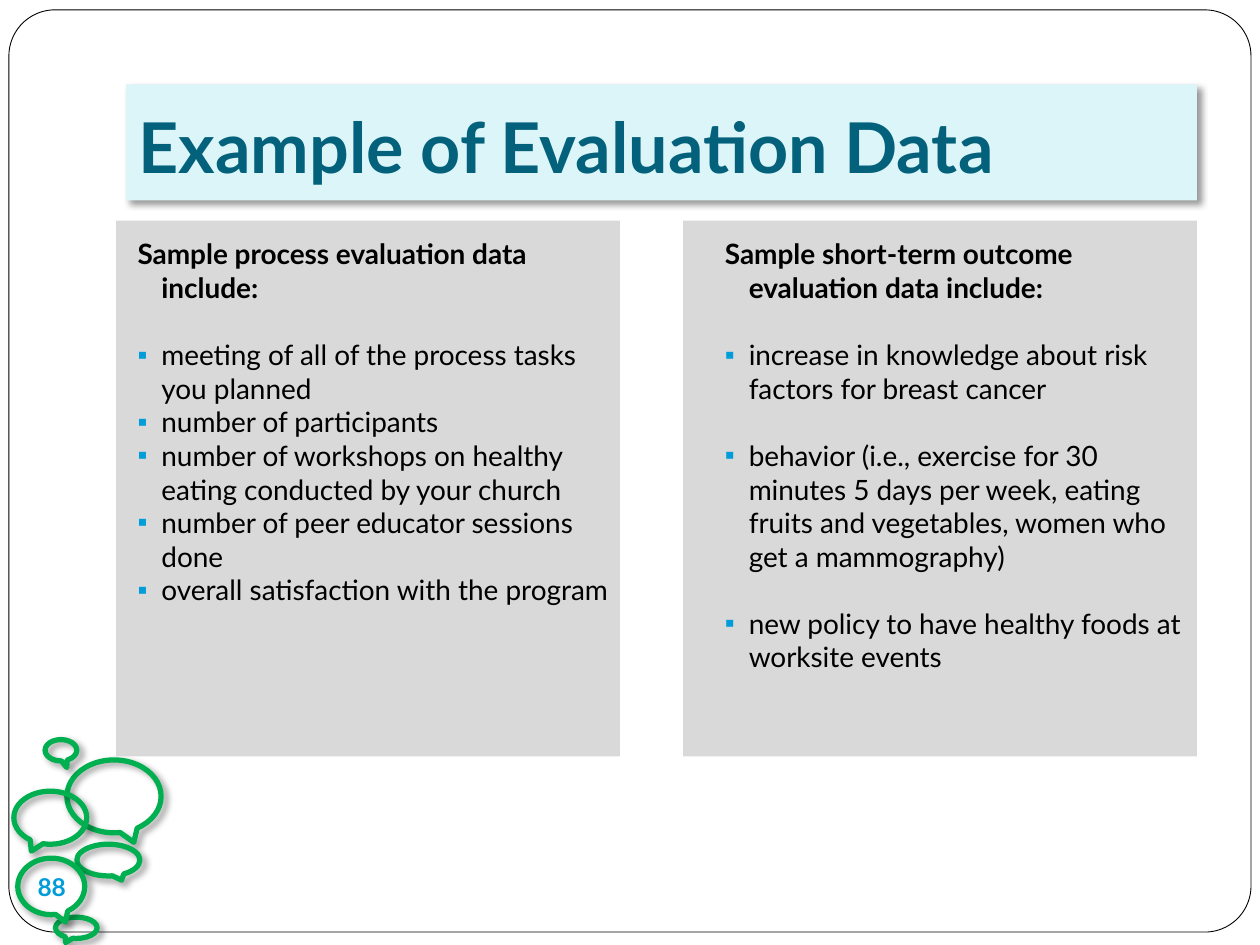
import dataclasses

import lxml.etree
import pptx
import pptx.dml.color
import pptx.enum.shapes
import pptx.enum.text
import pptx.oxml.ns
import pptx.util

Cm = pptx.util.Cm
Pt = pptx.util.Pt
qn = pptx.oxml.ns.qn
SHAPES = pptx.enum.shapes.MSO_SHAPE
ALIGN = pptx.enum.text.PP_ALIGN
ANCHOR = pptx.enum.text.MSO_ANCHOR


@dataclasses.dataclass(frozen=True)
class Theme:
    font: str = "Lato"
    black: str = "000000"
    white: str = "FFFFFF"
    title_fill: str = "DBF5F9"
    title_text: str = "04617B"
    panel: str = "D9D9D9"
    accent: str = "009DD9"
    bubble: str = "00B050"
    title_size: float = 40
    body_size: float = 16
    number_size: float = 14
    body_line: float = 19.2


@dataclasses.dataclass(frozen=True)
class Box:
    """A region in centimetres."""
    left: float
    top: float
    width: float
    height: float

    def inner(self, left, top, width, height):
        return Box(self.left + left, self.top + top, width, height)

    def lengths(self):
        return [Cm(v) for v in (self.left, self.top, self.width, self.height)]


THEME = Theme()


def rgb(value):
    return pptx.dml.color.RGBColor.from_string(value)


def add_shape(page, kind, box, fill=None, line=None, weight=1.0):
    shape = page.shapes.add_shape(kind, *box.lengths())
    shape.shadow.inherit = False
    if fill:
        shape.fill.solid()
        shape.fill.fore_color.rgb = rgb(fill)
    else:
        shape.fill.background()
    if line:
        shape.line.color.rgb = rgb(line)
        shape.line.width = Pt(weight)
    else:
        shape.line.fill.background()
    return shape


def place(holder, box):
    """Move a placeholder into the box and in front of the other shapes."""
    holder.left, holder.top, holder.width, holder.height = box.lengths()
    holder.text_frame.auto_size = pptx.enum.text.MSO_AUTO_SIZE.NONE
    holder.text_frame.word_wrap = True
    holder.element.getparent().append(holder.element)


def add_shadow(shape):
    shape.shadow.inherit = False
    effects = shape.element.spPr.find(qn("a:effectLst"))
    outer = lxml.etree.SubElement(
        effects, qn("a:outerShdw"), blurRad=str(Pt(4)), dist=str(Pt(3)),
        dir="2700000", algn="tl", rotWithShape="0")
    colour = lxml.etree.SubElement(outer, qn("a:srgbClr"), val=THEME.black)
    lxml.etree.SubElement(colour, qn("a:alpha"), val="40000")


def format_spans(para, size, colour, bold):
    for span in para.runs:
        span.font.name = THEME.font
        span.font.size = Pt(size)
        span.font.bold = bold
        span.font.color.rgb = rgb(colour)


def set_bullet(para, bullet):
    """Give the paragraph a hanging indent and a square bullet, or none."""
    properties = para._p.get_or_add_pPr()
    properties.set("marL", str(Cm(1.3)))
    properties.set("indent", str(Cm(-0.48)))
    if not bullet:
        lxml.etree.SubElement(properties, qn("a:buNone"))
        return
    colour = lxml.etree.SubElement(properties, qn("a:buClr"))
    lxml.etree.SubElement(colour, qn("a:srgbClr"), val=THEME.accent)
    lxml.etree.SubElement(properties, qn("a:buFont"), typeface="Arial")
    lxml.etree.SubElement(properties, qn("a:buChar"), char="▪")


def add_frame(page, box):
    frame = add_shape(page, SHAPES.ROUNDED_RECTANGLE, box,
                      THEME.white, THEME.black, 0.5)
    frame.adjustments[0] = 0.05


def add_bubbles(page, box, number):
    # Speech bubbles: left, top, width, height, tail position
    usual = (-0.21, 0.63)
    bubbles = [
        (1.07, 0.41, 1.9, 1.47, usual),
        (1.27, 2.11, 1.27, 0.64, usual),
        (0, 1.04, 1.47, 1.07, (0.26, 0.63)),
        (0.84, 3.58, 0.84, 0.43, (0.26, 0.69)),
        (0.08, 2.39, 1.35, 1.14, usual),
        (0.63, 0, 0.64, 0.43, (-0.18, 0.81)),
    ]
    for *position, tail in bubbles:
        bubble = add_shape(page, SHAPES.OVAL_CALLOUT, box.inner(*position),
                           line=THEME.bubble, weight=3)
        bubble.adjustments[0], bubble.adjustments[1] = tail
        bubble.element.spPr.xfrm.set("flipH", "1")
        add_shadow(bubble)

    # Page number
    badge = add_shape(page, SHAPES.OVAL, box.inner(0.13, 2.34, 1.27, 1.27))
    frame = badge.text_frame
    frame.margin_left = frame.margin_right = 0
    frame.margin_top = frame.margin_bottom = 0
    frame.word_wrap = False
    frame.vertical_anchor = ANCHOR.MIDDLE
    frame.text = number
    frame.paragraphs[0].alignment = ALIGN.CENTER
    format_spans(frame.paragraphs[0], THEME.number_size, THEME.accent, True)


def fill_title(holder, box, text):
    place(holder, box)
    holder.fill.solid()
    holder.fill.fore_color.rgb = rgb(THEME.title_fill)
    add_shadow(holder)
    frame = holder.text_frame
    frame.margin_bottom = Cm(0.25)
    frame.vertical_anchor = ANCHOR.BOTTOM
    frame.text = text
    frame.paragraphs[0].alignment = ALIGN.LEFT
    format_spans(frame.paragraphs[0], THEME.title_size, THEME.title_text, True)


def fill_panel(page, holder, box, text_box, heading, items, gap):
    add_shape(page, SHAPES.RECTANGLE, box, THEME.panel)
    place(holder, text_box)
    frame = holder.text_frame
    frame.vertical_anchor = ANCHOR.TOP
    frame.text = "\n".join([heading, *items])
    for index, para in enumerate(frame.paragraphs):
        is_heading = index == 0
        set_bullet(para, not is_heading)
        para.space_before = Pt(0)
        para.space_after = Pt(THEME.body_line if is_heading else gap)
        format_spans(para, THEME.body_size, THEME.black, is_heading)


def main():
    deck = pptx.Presentation()
    deck.slide_width, deck.slide_height = Cm(25.4), Cm(19.05)
    page = deck.slides.add_slide(deck.slide_layouts.get_by_name("Two Content"))
    title, left_body, right_body = page.placeholders

    add_frame(page, Box(0.18, 0.2, 25.04, 18.59))
    add_bubbles(page, Box(0.28, 14.91, 2.97, 4.01), "88")
    fill_title(title, Box(2.54, 1.7, 21.59, 2.34), "Example of Evaluation Data")

    # Process data on the left, outcome data on the right
    left = Box(2.34, 4.45, 10.16, 10.8)
    fill_panel(page, left_body, left, left.inner(-0.64, 0.2, 11, 9.14),
               "Sample process evaluation data include:", [
                   "meeting of all of the process tasks you planned",
                   "number of participants",
                   "number of workshops on healthy eating conducted by your church",
                   "number of peer educator sessions done",
                   "overall satisfaction with the program"], 0)
    right = Box(13.77, 4.45, 10.36, 10.8)
    fill_panel(page, right_body, right, right.inner(-0.23, 0.2, 10.59, 11.13),
               "Sample short-term outcome evaluation data include:", [
                   "increase in knowledge about risk factors for breast cancer",
                   "behavior (i.e., exercise for 30 minutes 5 days per week, eating "
                   "fruits and vegetables, women who get a mammography)",
                   "new policy to have healthy foods at worksite events"],
               THEME.body_line)
    deck.save("out.pptx")


if __name__ == "__main__":
    main()
